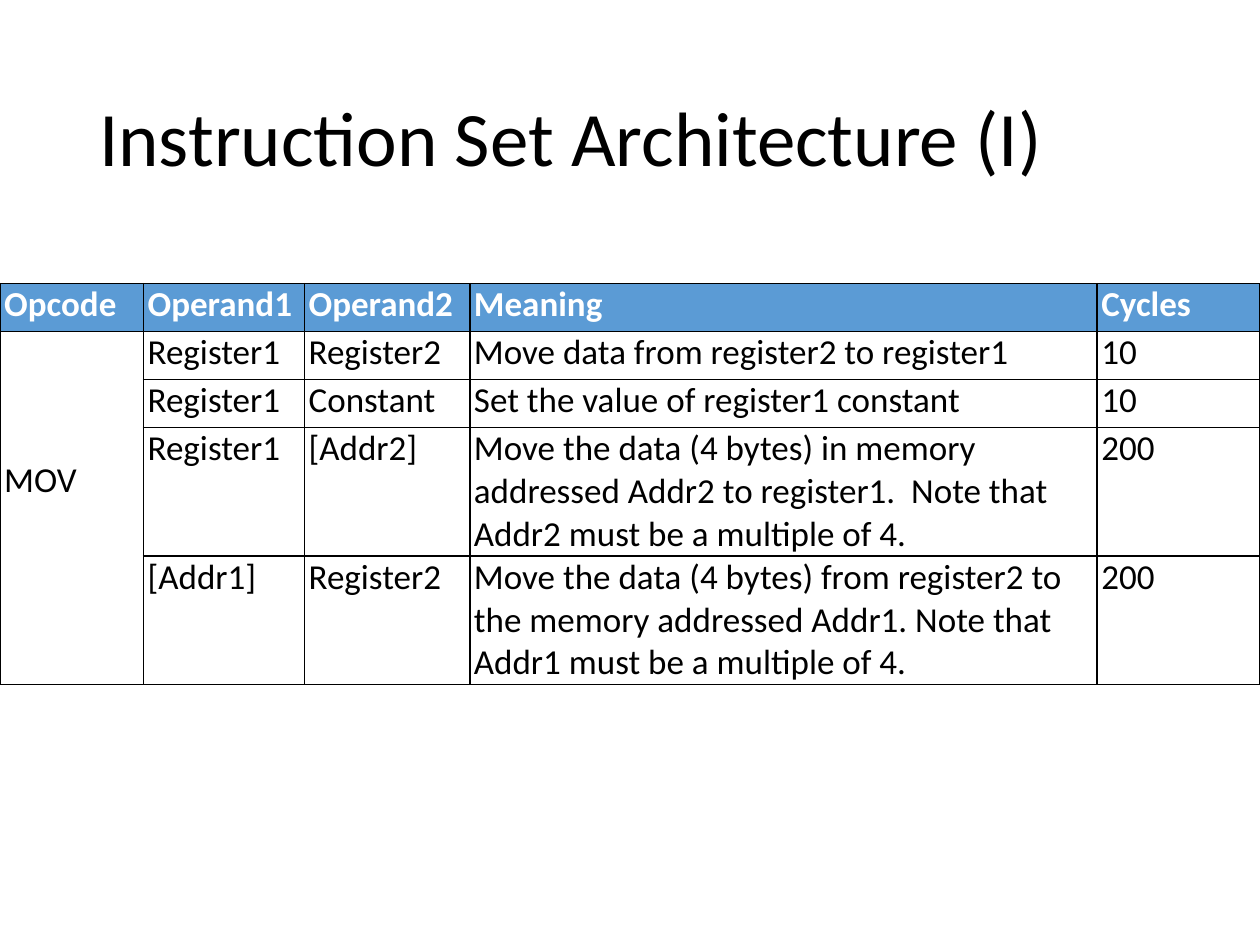
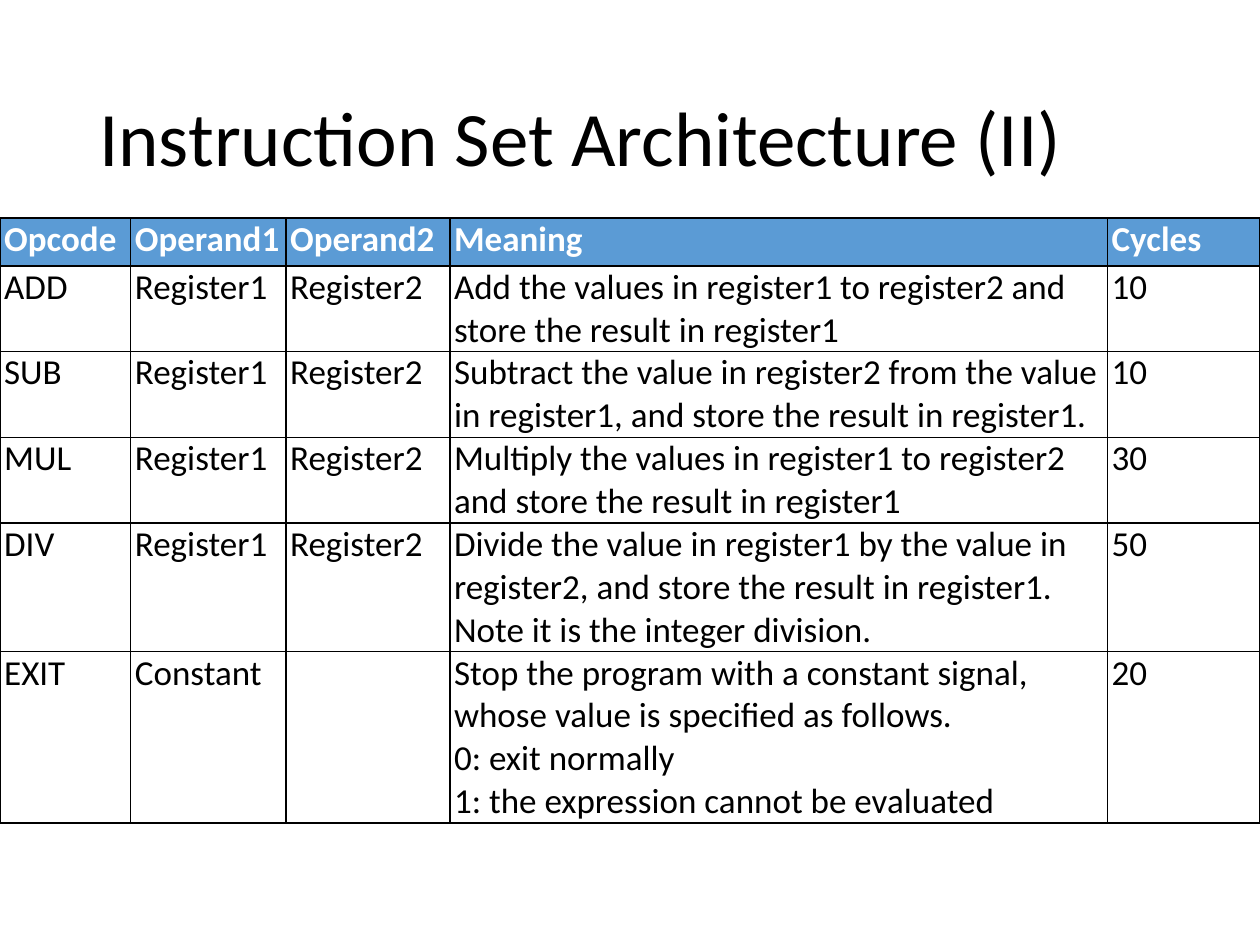
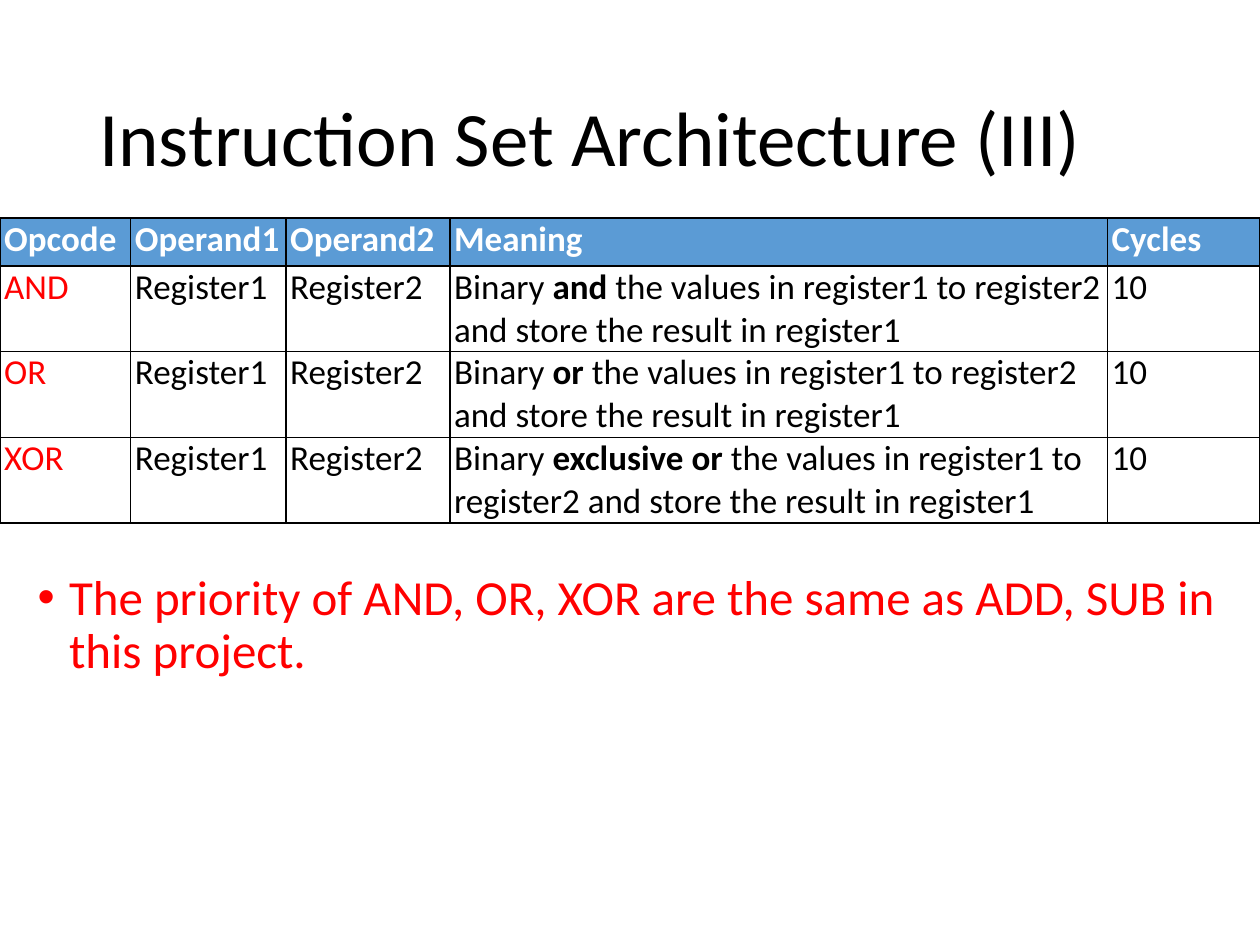
from pptx import Presentation
from pptx.dml.color import RGBColor as RGB
from pptx.enum.text import MSO_ANCHOR as Anchor, MSO_AUTO_SIZE as Fit, PP_ALIGN as Align
from pptx.oxml.ns import qn
from pptx.util import Pt
from lxml.etree import SubElement as Sub

BLACK = RGB(0, 0, 0)
WHITE = RGB(255, 255, 255)
BLUE = RGB(0x5B, 0x9B, 0xD5)
RED = RGB(255, 0, 0)
FONT = "Calibri"
WIDE, HIGH = 720, 540
HEAD_BOX = (49.5, 28.8, 621, 104.4)
NOTE_BOX = (14.4, 324, 697, 79.2)
ROW = 27.4  # least height of a table row
LINE = 24.4  # height of one line of table text
HEADS = ("Opcode", "Operand1", "Operand2", "Meaning", "Cycles")
REGS = ("Register1", "Register2")
STORE = "and store the result in register1"


def write(frame, text, size=20, color=BLACK, bold=False, space=None, before=None):
    """Fill a text frame: newlines part paragraphs, stars enclose bold words."""
    for i, line in enumerate(text.split("\n")):
        para = frame.add_paragraph() if i else frame.paragraphs[0]
        para.alignment = Align.LEFT
        if space:
            para.line_spacing = space
        if before:
            para.space_before = Pt(before)
        for j, part in enumerate(line.split("*")):
            run = para.add_run()
            run.text = part
            font = run.font
            font.name, font.size = FONT, Pt(size)
            font.bold = bold or j % 2 == 1
            font.color.rgb = color


def edge(cell, color=BLACK, width=1):
    """Draw a solid line on all four sides of a cell."""
    props = cell._tc.get_or_add_tcPr()
    for side in ("lnL", "lnR", "lnT", "lnB"):
        line = Sub(props, qn("a:" + side), w=str(Pt(width)))
        fill = Sub(line, qn("a:solidFill"))
        Sub(fill, qn("a:srgbClr"), val=str(color))


def style(cell, text, fill, **form):
    """Set the margins, borders, fill and text of one cell."""
    cell.margin_left = cell.margin_right = Pt(2.4)
    cell.margin_top = cell.margin_bottom = 0
    edge(cell)
    cell.fill.solid()
    cell.fill.fore_color.rgb = fill
    if text:
        write(cell.text_frame, text, **form)


def grid(slide, box, cols, rows, highs, code=BLACK):
    """Place an instruction table with a blue head row; code colours the opcodes."""
    frame = slide.shapes.add_table(len(rows) + 1, len(cols), *map(Pt, box))
    table = frame.table
    for col, width in zip(table.columns, cols):
        col.width = Pt(width)
    for row, high in zip(table.rows, [ROW] + highs):
        row.height = Pt(high)
    for r, row in enumerate([HEADS] + rows):
        for c, text in enumerate(row):
            if r == 0:
                style(table.cell(r, c), text, BLUE, color=WHITE, bold=True)
            else:
                style(table.cell(r, c), text, WHITE, color=BLACK if c else code)
    frame.height = Pt(box[3])
    return table


def note(slide, box, text):
    """Place a red bullet point."""
    frame = slide.shapes.add_textbox(*map(Pt, box)).text_frame
    frame.word_wrap = True
    write(frame, text, size=28, color=RED, space=0.9, before=10)
    props = frame.paragraphs[0]._p.get_or_add_pPr()
    props.set("marL", str(Pt(18)))
    props.set("indent", str(-Pt(18)))
    Sub(props, qn("a:buFont"), typeface="Arial")
    Sub(props, qn("a:buChar"), char="•")


def page(deck, part):
    """Add a slide with the shared title and its part number."""
    slide = deck.slides.add_slide(deck.slide_layouts[5])
    head = slide.shapes.title
    head.left, head.top, head.width, head.height = map(Pt, HEAD_BOX)
    frame = head.text_frame
    frame.word_wrap = True
    frame.auto_size = Fit.NONE
    frame.vertical_anchor = Anchor.MIDDLE
    write(frame, f"Instruction Set Architecture ({part})", size=44, space=0.9)
    return slide


def main():
    """Build the three slides and save them."""
    deck = Presentation()
    deck.slide_width, deck.slide_height = Pt(WIDE), Pt(HIGH)

    moves = [
        ("MOV", *REGS, "Move data from register2 to register1", "10"),
        ("", "Register1", "Constant", "Set the value of register1 constant", "10"),
        ("", "Register1", "[Addr2]",
         "Move the data (4 bytes) in memory addressed Addr2 to register1.\u00a0 "
         "Note that Addr2 must be a multiple of 4.", "200"),
        ("", "[Addr1]", "Register2",
         "Move the data (4 bytes) from register2 to the memory addressed Addr1. "
         "Note that Addr1 must be a multiple of 4.", "200"),
    ]
    table = grid(page(deck, "I"), (0, 162, WIDE, 227), (82, 92, 94.5, 358.5, 93),
                 moves, [ROW] * 2 + [2 * ROW] * 2)
    table.cell(1, 0).merge(table.cell(4, 0))
    table.cell(1, 0).margin_top = Pt(3 * LINE)

    cols = (74.7, 88.7, 93.7, 375.8, 87.1)
    sums = [
        ("ADD", *REGS, f"Add the values in register1 to register2 {STORE}", "10"),
        ("SUB", *REGS, "Subtract the value in register2 from the value in register1, "
         f"{STORE}.", "10"),
        ("MUL", *REGS, f"Multiply the values in register1 to register2 {STORE}", "30"),
        ("DIV", *REGS, "Divide the value in register1 by the value in register2, "
         f"{STORE}.\u00a0 Note it is the integer division.", "50"),
        ("EXIT", "Constant", "",
         "Stop the program with a constant signal, whose value is specified as follows.\n"
         "0: exit normally\n1: the expression cannot be evaluated", "20"),
    ]
    grid(page(deck, "II"), (0, 124.5, WIDE, 340), cols, sums, [ROW] * 4 + [3 * ROW])

    bits = [(name, *REGS, f"Binary *{word}* the values in register1 to register2 {STORE}", "10")
            for name, word in (("AND", "and"), ("OR", "or"), ("XOR", "exclusive or"))]
    last = page(deck, "III")
    grid(last, (0, 124.5, WIDE, 171.4), cols, bits, [ROW] * 3, code=RED)
    note(last, NOTE_BOX,
         "The priority of AND, OR, XOR are the same as ADD, SUB in this project.")

    deck.save("out.pptx")


main()
